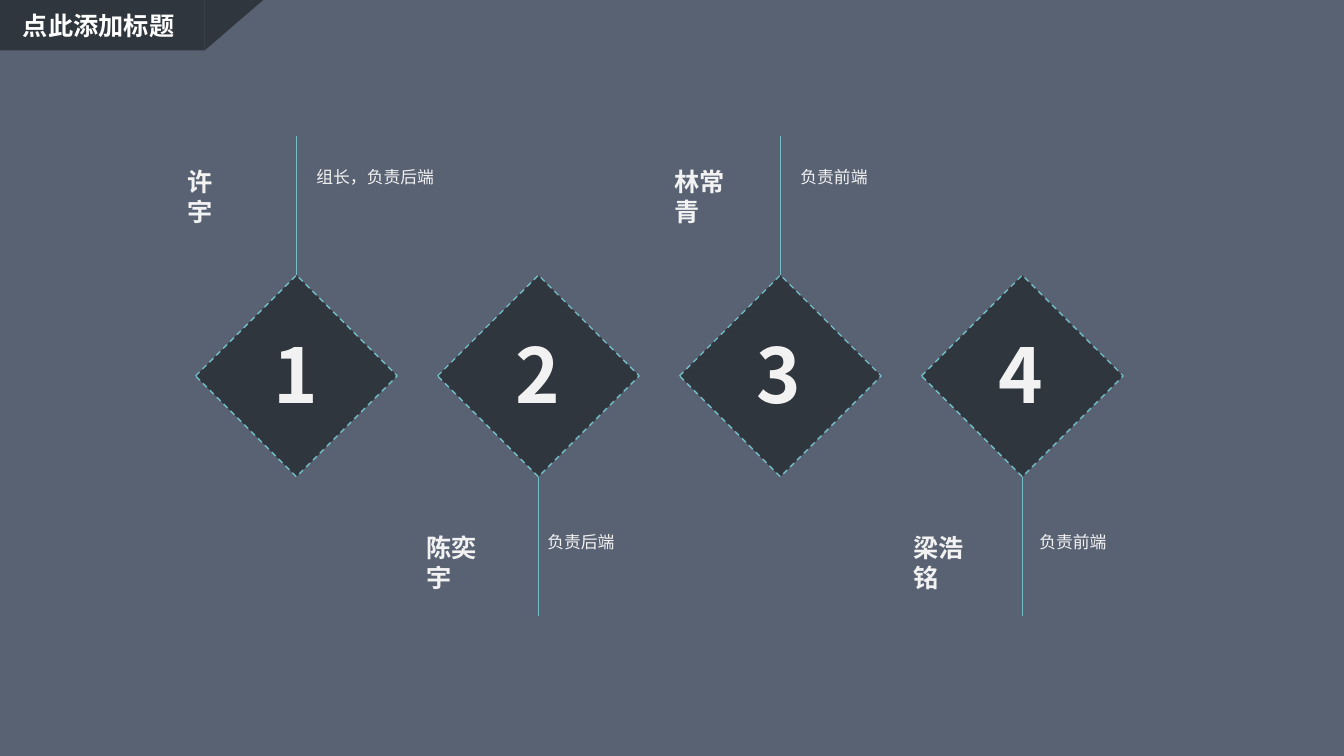
from lxml.etree import SubElement
from pptx import Presentation
from pptx.dml.color import RGBColor
from pptx.enum.dml import MSO_LINE
from pptx.enum.shapes import MSO_CONNECTOR, MSO_SHAPE as Shape
from pptx.enum.text import MSO_ANCHOR as Anchor, MSO_AUTO_SIZE as AutoSize
from pptx.oxml.ns import qn
from pptx.util import Inches, Pt

SLATE = RGBColor(0x59, 0x62, 0x73)
CHARCOAL = RGBColor(0x30, 0x36, 0x3D)
TEAL = RGBColor(0x72, 0xBC, 0xC5)
WHITE = RGBColor(0xFF, 0xFF, 0xFF)
PALE = RGBColor(0xF2, 0xF2, 0xF2)
HEADING_FONT = "Noto Sans CJK SC"
BODY_FONT = "Calibri"
CELL = Inches(0.1)

MEMBERS = [
    ("许宇", "组长，负责后端", -11.8, 1),
    ("陈奕宇", "负责后端", -12.1, -0.1),
    ("林常青", "负责前端", -11.5, 1),
    ("梁浩铭", "负责前端", -11.8, 0.7),
]
FIRST_CENTRE, PITCH = 29.4, 24
DIAMOND_TOP, DIAMOND_SIZE, STEM = 27.3, 20, 13.8
UPPER_TEXT, LOWER_TEXT = 16, 52.3


def cells(*counts):
    return [round(count * CELL) for count in counts]


class SlideGrid:
    def __init__(self, presentation):
        self.slide = presentation.slides.add_slide(presentation.slide_layouts[6])
        background = self.slide.background.fill
        background.solid()
        background.fore_color.rgb = SLATE

    def block(self, kind, column, row, width, height, dashed=False):
        shape = self.slide.shapes.add_shape(kind, *cells(column, row, width, height))
        shape.shadow.inherit = False
        shape.fill.solid()
        shape.fill.fore_color.rgb = CHARCOAL
        if dashed:
            shape.line.color.rgb = TEAL
            shape.line.width = Pt(1)
            shape.line.dash_style = MSO_LINE.DASH
        else:
            shape.line.fill.background()
        return shape

    def stem(self, column, top, bottom):
        line = self.slide.shapes.add_connector(
            MSO_CONNECTOR.STRAIGHT, *cells(column, bottom, column, top))
        line.line.color.rgb = TEAL
        line.line.width = Pt(1)
        SubElement(line._element.spPr, qn("a:effectLst"))

    def text(self, words, column, row, width, height, size, color=PALE,
             font=HEADING_FONT, wrap=False, anchor=Anchor.TOP):
        box = self.slide.shapes.add_textbox(*cells(column, row, width, height))
        frame = box.text_frame
        frame.text = words
        frame.word_wrap = wrap
        frame.auto_size = AutoSize.SHAPE_TO_FIT_TEXT
        frame.vertical_anchor = anchor
        run = frame.paragraphs[0].runs[0]
        run.font.size = Pt(size)
        run.font.bold = font == HEADING_FONT
        run.font.color.rgb = color
        run.font.name = font
        SubElement(run.font._element, qn("a:ea"), typeface=HEADING_FONT)

    def banner(self, title):
        self.block(Shape.RECTANGLE, 0, 0, 20.3, 5)
        corner = self.block(Shape.ISOSCELES_TRIANGLE, 20.3, 0, 5.8, 5)
        corner.adjustments[0] = 1
        corner.rotation = 180
        self.text(title, 1.3, 0.5, 17.6, 4, 18, WHITE, wrap=True)

    def member(self, index, name, duty, name_shift, duty_shift):
        centre = FIRST_CENTRE + index * PITCH
        above = index % 2 == 0
        stem_top = DIAMOND_TOP - STEM if above else DIAMOND_TOP + DIAMOND_SIZE
        text_row = UPPER_TEXT if above else LOWER_TEXT
        self.block(Shape.DIAMOND, centre - DIAMOND_SIZE / 2, DIAMOND_TOP,
                   DIAMOND_SIZE, DIAMOND_SIZE, dashed=True)
        self.stem(centre, stem_top, stem_top + STEM)
        self.text(duty, centre + duty_shift, text_row, 15.9, 3, 12,
                  font=BODY_FONT, wrap=True, anchor=Anchor.MIDDLE)
        self.text(name, centre + name_shift, text_row, 1.95 + 2.5 * len(name), 4, 18)
        self.text(str(index + 1), centre - 3.3, 32, 6.7, 10.1, 54)


def main():
    presentation = Presentation()
    presentation.slide_width = Inches(13.33)
    presentation.slide_height = Inches(7.5)
    grid = SlideGrid(presentation)
    grid.banner("点此添加标题")
    for index, details in enumerate(MEMBERS):
        grid.member(index, *details)
    presentation.save("out.pptx")


if __name__ == "__main__":
    main()
